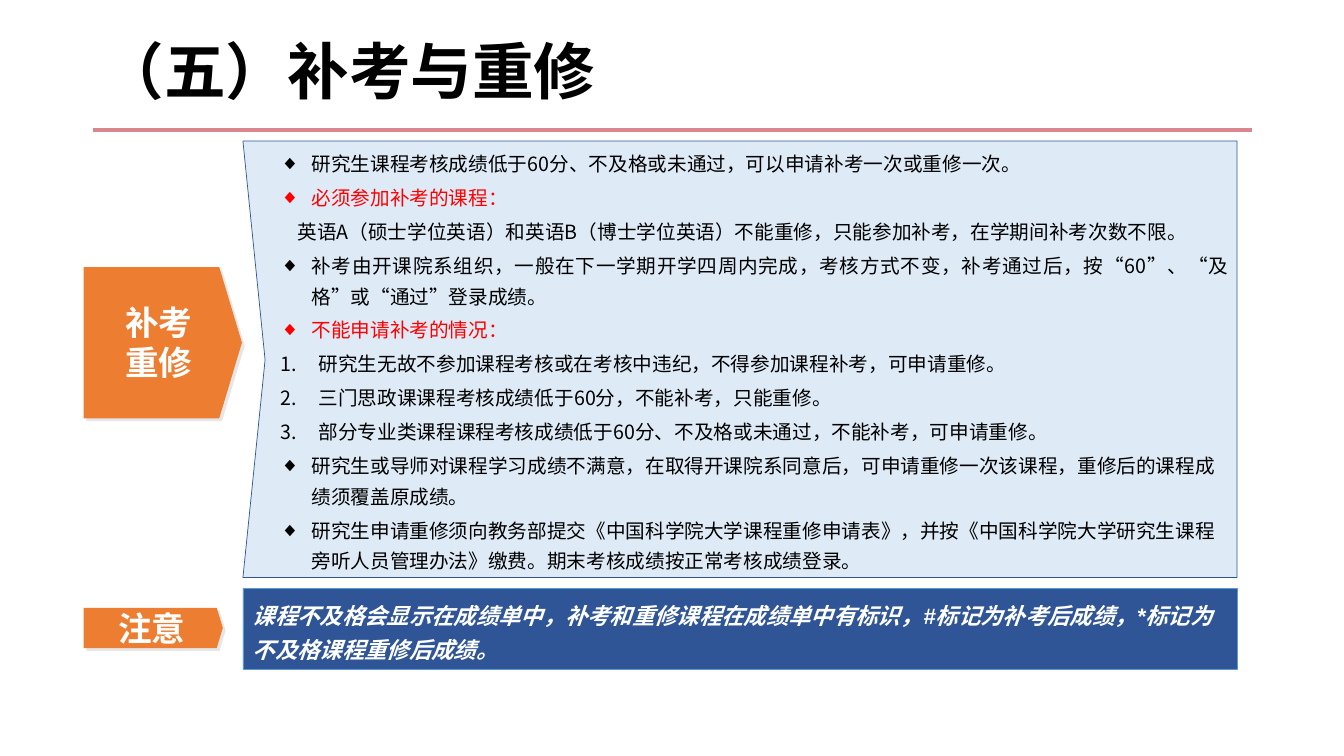
from dataclasses import dataclass

from lxml.etree import SubElement
from pptx import Presentation
from pptx.dml.color import RGBColor
from pptx.enum.shapes import MSO_CONNECTOR, MSO_SHAPE
from pptx.enum.text import MSO_ANCHOR, PP_ALIGN
from pptx.oxml.ns import qn
from pptx.util import Inches, Pt


@dataclass(frozen=True)
class Theme:
    """Colours, fonts and type sizes of the slide."""
    black: str = "000000"
    white: str = "FFFFFF"
    red: str = "FF0000"
    rule: str = "D9868E"
    orange: str = "ED7D31"
    pale_blue: str = "DEEBF7"
    dark_blue: str = "2F5597"
    border_blue: str = "5B9BD5"
    shadow: str = "E7E6E6"
    chinese: str = "Noto Sans CJK SC"
    arial: str = "Arial"
    calibri: str = "Calibri"
    title_size: float = 44
    label_size: float = 24
    note_size: float = 16
    body_size: float = 14
    open_spacing: float = 1.3


THEME = Theme()


@dataclass(frozen=True)
class Style:
    """Look of a text run."""
    size: float
    color: str
    font: str = THEME.chinese
    bold: bool = False
    italic: bool = False


@dataclass(frozen=True)
class Item:
    """One paragraph of the rules panel."""
    text: str
    marker: str = "diamond"
    color: str = THEME.black
    align: PP_ALIGN = PP_ALIGN.JUSTIFY


@dataclass(frozen=True)
class Box:
    """Position and size in inches."""
    left: float
    top: float
    width: float
    height: float


@dataclass(frozen=True)
class Label:
    """An orange pentagon, its caption lines and an optional caption box."""
    lines: tuple
    box: Box
    caption_box: Box | None = None


ITEMS = (
    Item("研究生课程考核成绩低于60分、不及格或未通过，可以申请补考一次或重修一次。"),
    Item("必须参加补考的课程：", color=THEME.red),
    Item("英语A（硕士学位英语）和英语B（博士学位英语）不能重修，只能参加补考，在学期间补考次数不限。", "none"),
    Item("补考由开课院系组织，一般在下一学期开学四周内完成，考核方式不变，补考通过后，按“60”、“及格”或“通过”登录成绩。"),
    Item("不能申请补考的情况：", color=THEME.red),
    Item("研究生无故不参加课程考核或在考核中违纪，不得参加课程补考，可申请重修。", "number"),
    Item("三门思政课课程考核成绩低于60分，不能补考，只能重修。", "number"),
    Item("部分专业类课程课程考核成绩低于60分、不及格或未通过，不能补考，可申请重修。", "number"),
    Item("研究生或导师对课程学习成绩不满意，在取得开课院系同意后，可申请重修一次该课程，重修后的课程成绩须覆盖原成绩。",
         align=PP_ALIGN.LEFT),
    Item("研究生申请重修须向教务部提交《中国科学院大学课程重修申请表》，并按《中国科学院大学研究生课程旁听人员管理办法》缴费。期末考核成绩按正常考核成绩登录。",
         align=PP_ALIGN.LEFT),
)
LABELS = (
    Label(("补考", "重修"), Box(0.83, 2.65, 1.57, 1.5), Box(0.96, 2.99, 1.23, 0.81)),
    Label(("注意",), Box(0.83, 6.03, 1.38, 0.4)),
)
NOTE = (
    ("课程不及格会显示在成绩单中，补考和重修课程在成绩单中有标识，", THEME.calibri),
    ("#标记为补考后成绩，*标记为不及格课程重修后成绩", THEME.arial),
    ("。", THEME.calibri),
)
MARKER_INDENTS = {"diamond": (0.31, -0.31), "number": (0.38, -0.38), "none": (0, 0.17)}


def add_run(paragraph, text: str, style: Style) -> None:
    """Append one styled run."""
    run = paragraph.add_run()
    run.text = text
    font = run.font
    font.name, font.size = style.font, Pt(style.size)
    font.bold, font.italic = style.bold, style.italic
    font.color.rgb = RGBColor.from_string(style.color)
    SubElement(font._element, qn("a:ea")).set("typeface", THEME.chinese)


def set_frame(shape, anchor: MSO_ANCHOR, inset: float | None = None):
    """Wrap and anchor the text of a shape and return its frame."""
    frame = shape.text_frame
    frame.word_wrap, frame.vertical_anchor = True, anchor
    if inset is not None:
        frame.margin_left = frame.margin_right = Inches(inset)
        frame.margin_top = frame.margin_bottom = Inches(inset)
    return frame


def paint(shape, fill: str, line: str | None = None) -> None:
    """Give a shape a flat fill and an optional thin outline."""
    shape.shadow.inherit = False
    shape.fill.solid()
    shape.fill.fore_color.rgb = RGBColor.from_string(fill)
    if line is None:
        shape.line.fill.background()
    else:
        shape.line.color.rgb = RGBColor.from_string(line)
        shape.line.width = Pt(0.5)


def add_block(slide, kind: MSO_SHAPE, box: Box, fill: str, line: str | None = None):
    """Add a painted preset shape."""
    shape = slide.shapes.add_shape(
        kind, Inches(box.left), Inches(box.top), Inches(box.width), Inches(box.height))
    paint(shape, fill, line)
    return shape


def add_title(slide) -> None:
    """Draw the heading and the rule below it."""
    rule = slide.shapes.add_connector(
        MSO_CONNECTOR.STRAIGHT, Inches(0.92), Inches(1.29), Inches(12.42), Inches(1.29))
    rule.line.color.rgb = RGBColor.from_string(THEME.rule)
    rule.line.width = Pt(3)
    SubElement(rule._element.spPr, qn("a:effectLst"))
    box = slide.shapes.add_textbox(Inches(0.92), Inches(0.19), Inches(11.5), Inches(1.1))
    paragraph = set_frame(box, MSO_ANCHOR.MIDDLE).paragraphs[0]
    paragraph.line_spacing = 0.9
    add_run(paragraph, "（五）补考与重修", Style(THEME.title_size, THEME.black, THEME.arial, bold=True))


def add_label(slide, label: Label) -> None:
    """Draw a pentagon label with a grey offset shadow."""
    holder = add_block(slide, MSO_SHAPE.PENTAGON, label.box, THEME.orange)
    holder.adjustments[0] = 0.15
    effects = holder._element.spPr.find(qn("a:effectLst"))
    shadow = SubElement(effects, qn("a:outerShdw"), dist=str(Pt(2.8)), dir="2700000", algn="tl")
    SubElement(shadow, qn("a:srgbClr"), val=THEME.shadow)
    if label.caption_box:
        holder = add_block(slide, MSO_SHAPE.RECTANGLE, label.caption_box, THEME.orange)
    frame = set_frame(holder, MSO_ANCHOR.MIDDLE, 0)
    for index, line in enumerate(label.lines):
        paragraph = frame.add_paragraph() if index else frame.paragraphs[0]
        paragraph.alignment = PP_ALIGN.CENTER
        add_run(paragraph, line, Style(THEME.label_size, THEME.white, THEME.arial, bold=True))


def add_marker(paragraph, marker: str) -> None:
    """Set the indents and the bullet or number of a paragraph."""
    properties = paragraph._p.get_or_add_pPr()
    margin, indent = MARKER_INDENTS[marker]
    properties.set("marL", str(Inches(margin)))
    properties.set("indent", str(Inches(indent)))
    if marker == "none":
        SubElement(properties, qn("a:buNone"))
        return
    SubElement(properties, qn("a:buFont"), typeface=THEME.arial)
    if marker == "diamond":
        SubElement(properties, qn("a:buChar"), char="◆")
    else:
        SubElement(properties, qn("a:buAutoNum"), type="arabicPeriod")


def add_rules(slide) -> None:
    """Draw the notched panel and its list."""
    builder = slide.shapes.build_freeform(Inches(12.27), Inches(1.4), scale=1.0)
    corners = ((2.41, 1.4), (2.63, 3.57), (2.41, 5.73), (12.27, 5.73))
    builder.add_line_segments([(Inches(x), Inches(y)) for x, y in corners], close=True)
    paint(builder.convert_to_shape(), THEME.pale_blue, THEME.dark_blue)
    box = slide.shapes.add_textbox(Inches(2.78), Inches(1.29), Inches(9.4), Inches(4.54))
    frame = set_frame(box, MSO_ANCHOR.MIDDLE, 0)
    for index, item in enumerate(ITEMS):
        paragraph = frame.add_paragraph() if index else frame.paragraphs[0]
        add_marker(paragraph, item.marker)
        paragraph.alignment = item.align
        paragraph.line_spacing = THEME.open_spacing
        if index:
            paragraph.space_before = Pt(2.4)
        add_run(paragraph, item.text, Style(THEME.body_size, item.color))


def add_note(slide) -> None:
    """Draw the dark note bar."""
    bar = add_block(slide, MSO_SHAPE.RECTANGLE, Box(2.41, 5.84, 9.86, 0.8),
                    THEME.dark_blue, THEME.border_blue)
    paragraph = set_frame(bar, MSO_ANCHOR.TOP).paragraphs[0]
    paragraph.alignment = PP_ALIGN.LEFT
    paragraph.line_spacing = THEME.open_spacing
    for text, font in NOTE:
        add_run(paragraph, text, Style(THEME.note_size, THEME.white, font, bold=True, italic=True))


def main() -> None:
    """Build and save the slide."""
    presentation = Presentation()
    presentation.slide_width, presentation.slide_height = Inches(13.33), Inches(7.5)
    slide = presentation.slides.add_slide(presentation.slide_layouts[6])
    add_title(slide)
    add_rules(slide)
    add_note(slide)
    for label in LABELS:
        add_label(slide, label)
    presentation.save("out.pptx")


if __name__ == "__main__":
    main()
